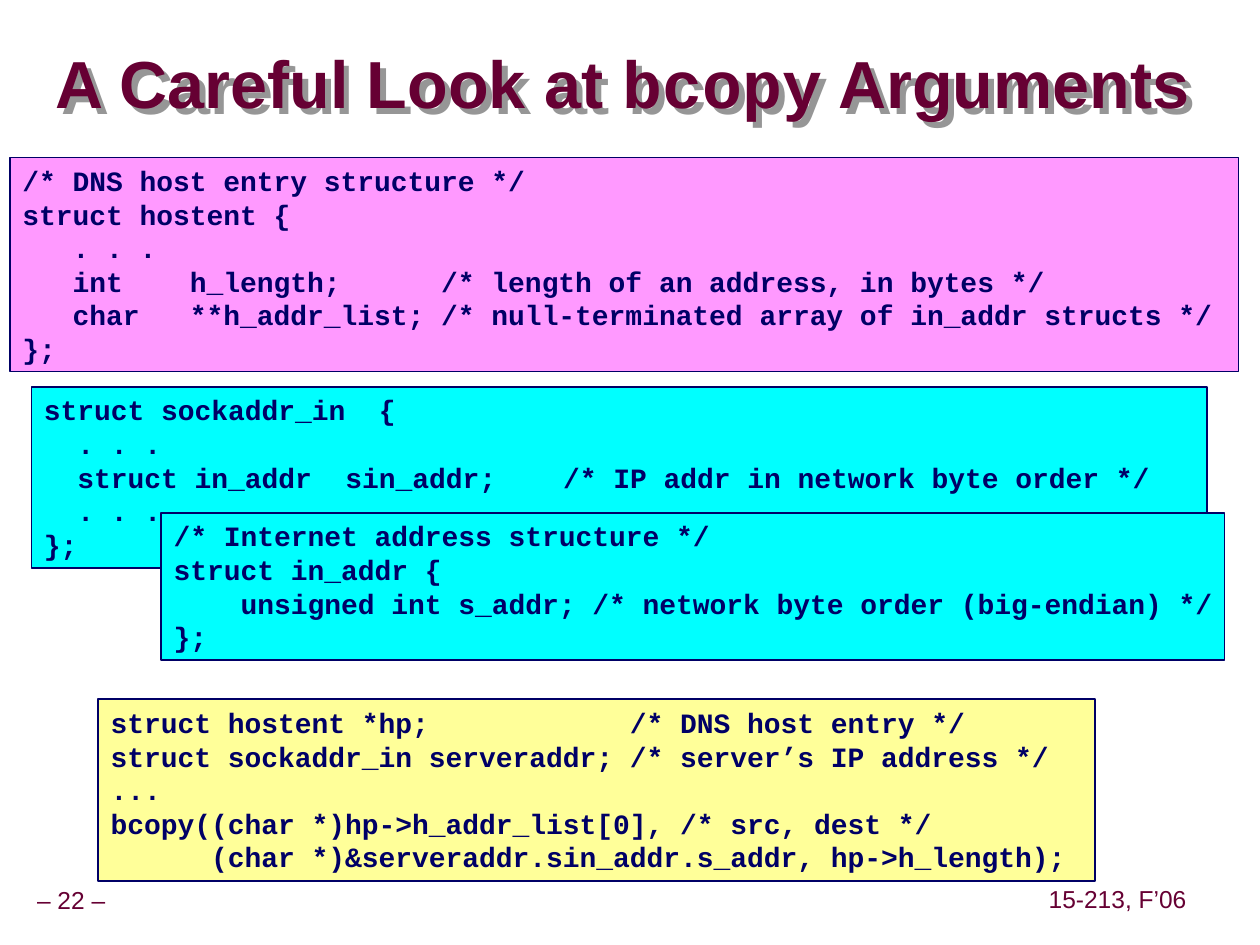
from lxml import etree
from pptx import Presentation
from pptx.dml.color import RGBColor
from pptx.enum.shapes import MSO_SHAPE
from pptx.enum.text import MSO_ANCHOR, MSO_AUTO_SIZE, PP_ALIGN
from pptx.oxml.ns import qn
from pptx.util import Inches, Pt

RECTANGLE = MSO_SHAPE.RECTANGLE
TOP, MIDDLE = MSO_ANCHOR.TOP, MSO_ANCHOR.MIDDLE
LEFT, CENTER = PP_ALIGN.LEFT, PP_ALIGN.CENTER
FIT_SHAPE, NO_FIT = MSO_AUTO_SIZE.SHAPE_TO_FIT_TEXT, MSO_AUTO_SIZE.NONE

COLORS = {
    "maroon": "660033", "navy": "000066", "shadow": "969696",
    "pink": "FF99FF", "yellow": "FFFF99", "cyan": "00FFFF",
}
SANS, MONO = "Arial", "Courier New"

TITLE = [("A Careful Look at ", SANS), ("bcopy", MONO), (" Arguments", SANS)]
FOOTERS = [
    ("– 22 –", (-0.09, 7, 1.31, 0.31)),
    ("15-213, F’06", (8.27, 6.99, 1.2, 0.31)),
]

# fill, box, wrap, code lines; listed from back to front
CODE_BOXES = [
    ("pink", (0.08, 1.25, 9.75, 1.7), True, [
        "/* DNS host entry structure */",
        "struct hostent {",
        "   . . .",
        "   int    h_length;      /* length of an address, in bytes */",
        "   char   **h_addr_list; /* null-terminated array of in_addr structs */",
        "};",
    ]),
    ("yellow", (0.78, 5.55, 7.91, 1.44), False, [
        "struct hostent *hp;            /* DNS host entry */",
        "struct sockaddr_in serveraddr; /* server’s IP address */",
        "...",
        "bcopy((char *)hp->h_addr_list[0], /* src, dest */",
        "      (char *)&serveraddr.sin_addr.s_addr, hp->h_length);",
    ]),
    ("cyan", (0.25, 3.07, 9.33, 1.44), True, [
        "struct sockaddr_in  {",
        "  . . .",
        "  struct in_addr  sin_addr;    /* IP addr in network byte order */",
        "  . . .",
        "};",
    ]),
    ("cyan", (1.28, 4.07, 8.44, 1.17), False, [
        "/* Internet address structure */",
        "struct in_addr {",
        "    unsigned int s_addr; /* network byte order (big-endian) */",
        "};",
    ]),
]


def rgb(name):
    return RGBColor.from_string(COLORS[name])


def inches(box):
    return [Inches(length) for length in box]


def set_frame(shape, inset_x, inset_y, anchor, wrap, fit):
    frame = shape.text_frame
    frame.margin_left = frame.margin_right = Inches(inset_x)
    frame.margin_top = frame.margin_bottom = Inches(inset_y)
    frame.vertical_anchor = anchor
    frame.word_wrap = wrap
    frame.auto_size = fit
    return frame


def add_run(paragraph, text, font, size, color, bold=False):
    run = paragraph.add_run()
    run.text = text
    run.font.name = font
    run.font.size = Pt(size)
    run.font.bold = bold
    run.font.color.rgb = rgb(color)


def add_text_shadow(shape):
    """Shadow an unfilled shape, so that the shadow falls from its text."""
    shape.fill.background()
    shape.shadow.inherit = False
    effects = shape.element.spPr.find(qn("a:effectLst"))
    shadow = etree.SubElement(effects, qn("a:outerShdw"), dist=str(Pt(4.8)),
                              dir="2700000", algn="tl", rotWithShape="0")
    etree.SubElement(shadow, qn("a:srgbClr"), val=COLORS["shadow"])


def add_footer(slide, text, box):
    shape = slide.shapes.add_textbox(*inches(box))
    paragraph = set_frame(shape, 0.05, 0.05, MIDDLE, False, FIT_SHAPE).paragraphs[0]
    paragraph.alignment = CENTER
    paragraph.line_spacing = 0.9
    add_run(paragraph, text, SANS, 14, "maroon")


def add_title(slide):
    shape = slide.shapes.add_textbox(*inches((0.44, 0.27, 9.53, 0.85)))
    add_text_shadow(shape)
    paragraph = set_frame(shape, 0, 0, MIDDLE, True, NO_FIT).paragraphs[0]
    paragraph.line_spacing = 0.87
    for text, font in TITLE:
        add_run(paragraph, text, font, 38, "maroon", bold=True)


def add_code_box(slide, fill, box, wrap, lines):
    shape = slide.shapes.add_shape(RECTANGLE, *inches(box))
    shape.shadow.inherit = False
    shape.fill.solid()
    shape.fill.fore_color.rgb = rgb(fill)
    shape.line.color.rgb = rgb("navy")
    shape.line.width = Pt(1)
    frame = set_frame(shape, 0.1, 0.05, TOP, wrap, FIT_SHAPE)
    frame.margin_right = Inches(0.05)  # room for the longest code line
    for index, line in enumerate(lines):
        paragraph = frame.add_paragraph() if index else frame.paragraphs[0]
        paragraph.alignment = LEFT
        add_run(paragraph, line, MONO, 16, "navy", bold=True)


def main():
    presentation = Presentation()
    presentation.slide_width, presentation.slide_height = Inches(10), Inches(7.5)
    slide = presentation.slides.add_slide(presentation.slide_layouts[6])
    for text, box in FOOTERS:
        add_footer(slide, text, box)
    add_title(slide)
    for code_box in CODE_BOXES:
        add_code_box(slide, *code_box)
    presentation.save("out.pptx")


if __name__ == "__main__":
    main()
